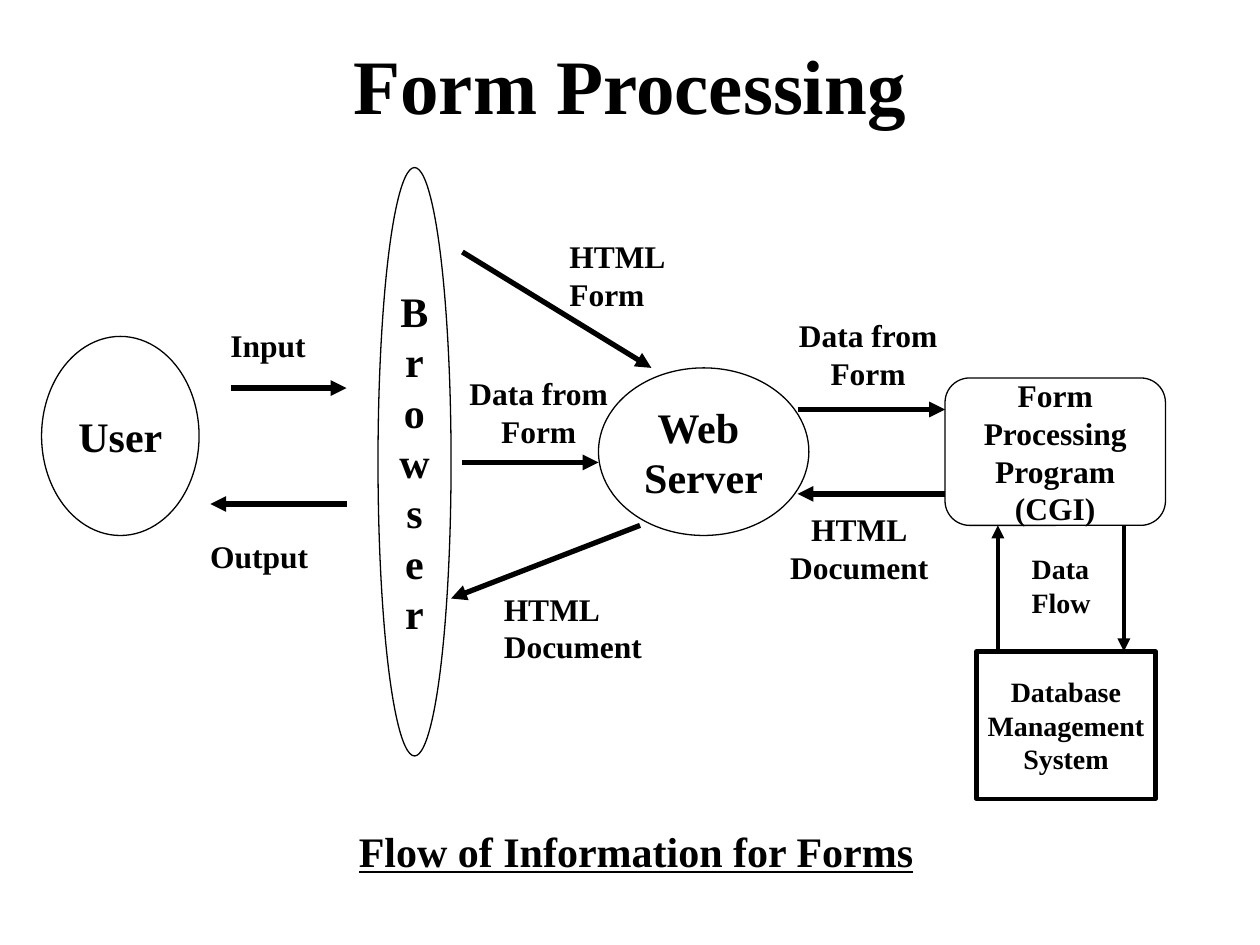
import pptx
import pptx.dml.color
import pptx.enum.shapes
import pptx.enum.text
import pptx.oxml
import pptx.oxml.ns
import pptx.util
from pptx.util import Inches

FONT = "Times New Roman"
COLORS = {"ink": "000000", "paper": "FFFFFF"}
SHAPES = pptx.enum.shapes.MSO_SHAPE
ANCHOR = pptx.enum.text.MSO_ANCHOR
LEFT = pptx.enum.text.PP_ALIGN.LEFT
CENTER = pptx.enum.text.PP_ALIGN.CENTER


def color(name):
    return pptx.dml.color.RGBColor.from_string(COLORS[name])


def write_text(shape, lines, size, alignment, anchor, wrap=False, underline=None):
    frame = shape.text_frame
    frame.word_wrap = wrap
    frame.vertical_anchor = anchor
    frame.text = "\n".join(lines)
    for paragraph in frame.paragraphs:
        paragraph.alignment = alignment
        paragraph.font.name = FONT
        paragraph.font.size = pptx.util.Pt(size)
        paragraph.font.bold = True
        paragraph.font.underline = underline
        paragraph.font.color.rgb = color("ink")


def add_title(slide, box, title):
    shape = slide.shapes.add_textbox(*map(Inches, box))
    write_text(shape, [title], 44, CENTER, ANCHOR.MIDDLE, wrap=True)


def add_node(slide, kind, box, lines, size, line_width=0.75):
    shape = slide.shapes.add_shape(kind, *map(Inches, box))
    shape.shadow.inherit = False
    shape.fill.solid()
    shape.fill.fore_color.rgb = color("paper")
    shape.line.color.rgb = color("ink")
    shape.line.width = pptx.util.Pt(line_width)
    write_text(shape, lines, size, CENTER, ANCHOR.MIDDLE)


def add_label(slide, box, lines, size=18, alignment=LEFT, wrap=False, underline=None):
    shape = slide.shapes.add_textbox(*map(Inches, box))
    write_text(shape, lines, size, alignment, ANCHOR.TOP, wrap, underline)
    shape.text_frame.auto_size = pptx.enum.text.MSO_AUTO_SIZE.SHAPE_TO_FIT_TEXT


def add_arrow(slide, start, end, width=3):
    connector = slide.shapes.add_connector(
        pptx.enum.shapes.MSO_CONNECTOR.STRAIGHT, *map(Inches, start + end))
    connector.line.color.rgb = color("ink")
    connector.line.width = pptx.util.Pt(width)
    head = pptx.oxml.parse_xml(
        f'<a:tailEnd {pptx.oxml.ns.nsdecls("a")} type="triangle"/>')
    connector.line._get_or_add_ln().append(head)
    effects = pptx.oxml.parse_xml(f'<a:effectLst {pptx.oxml.ns.nsdecls("a")}/>')
    connector._element.spPr.append(effects)


def main():
    presentation = pptx.Presentation()
    presentation.slide_width = Inches(10)
    presentation.slide_height = Inches(7.5)
    slide = presentation.slides.add_slide(presentation.slide_layouts[6])

    add_title(slide, (0.75, 0.33, 8.5, 0.67), "Form Processing")

    add_node(slide, SHAPES.OVAL, (0.33, 2.67, 1.25, 1.58), ["User"], 24)
    add_node(slide, SHAPES.OVAL, (3, 1.33, 0.58, 4.67), list("Browser"), 24)
    add_node(slide, SHAPES.OVAL, (4.75, 2.92, 1.67, 1.33), ["Web ", "Server"], 24)
    add_node(slide, SHAPES.ROUNDED_RECTANGLE, (7.5, 3, 1.75, 1.17),
             ["Form", "Processing", "Program", "(CGI)"], 18)
    add_node(slide, SHAPES.RECTANGLE, (7.75, 5.17, 1.42, 1.17),
             ["Database", "Management", "System"], 16, line_width=2.5)

    for start, end in [
        ((1.83, 3.08), (2.75, 3.08)),
        ((2.75, 4), (1.67, 4)),
        ((3.67, 2), (5.17, 2.92)),
        ((3.67, 3.67), (4.75, 3.67)),
        ((5.08, 4.17), (3.58, 4.75)),
        ((6.33, 3.25), (7.5, 3.25)),
        ((7.5, 3.92), (6.33, 3.92)),
    ]:
        add_arrow(slide, start, end)
    add_arrow(slide, (7.92, 5.17), (7.92, 4.17), width=2.5)
    add_arrow(slide, (8.92, 4.17), (8.92, 5.17), width=2.5)

    form_data = ["Data from", "Form"]
    html_document = ["HTML", "Document"]
    add_label(slide, (1.73, 2.54, 0.8, 0.4), ["Input"])
    add_label(slide, (1.57, 4.21, 0.98, 0.4), ["Output"])
    add_label(slide, (4.42, 1.83, 1.02, 0.7), ["HTML", "Form"])
    add_label(slide, (3.58, 2.92, 1.39, 0.7), form_data, alignment=CENTER, wrap=True)
    add_label(slide, (3.9, 4.63, 1.32, 0.7), html_document)
    add_label(slide, (6.23, 2.46, 1.32, 0.7), form_data, alignment=CENTER)
    add_label(slide, (6.16, 4, 1.32, 0.7), html_document, alignment=CENTER)
    add_label(slide, (8.09, 4.33, 0.67, 0.64), ["Data", "Flow"], 16)
    add_label(slide, (2.75, 6.5, 4.6, 0.5), ["Flow of Information for Forms"], 24,
              underline=True)

    presentation.save("out.pptx")


if __name__ == "__main__":
    main()
